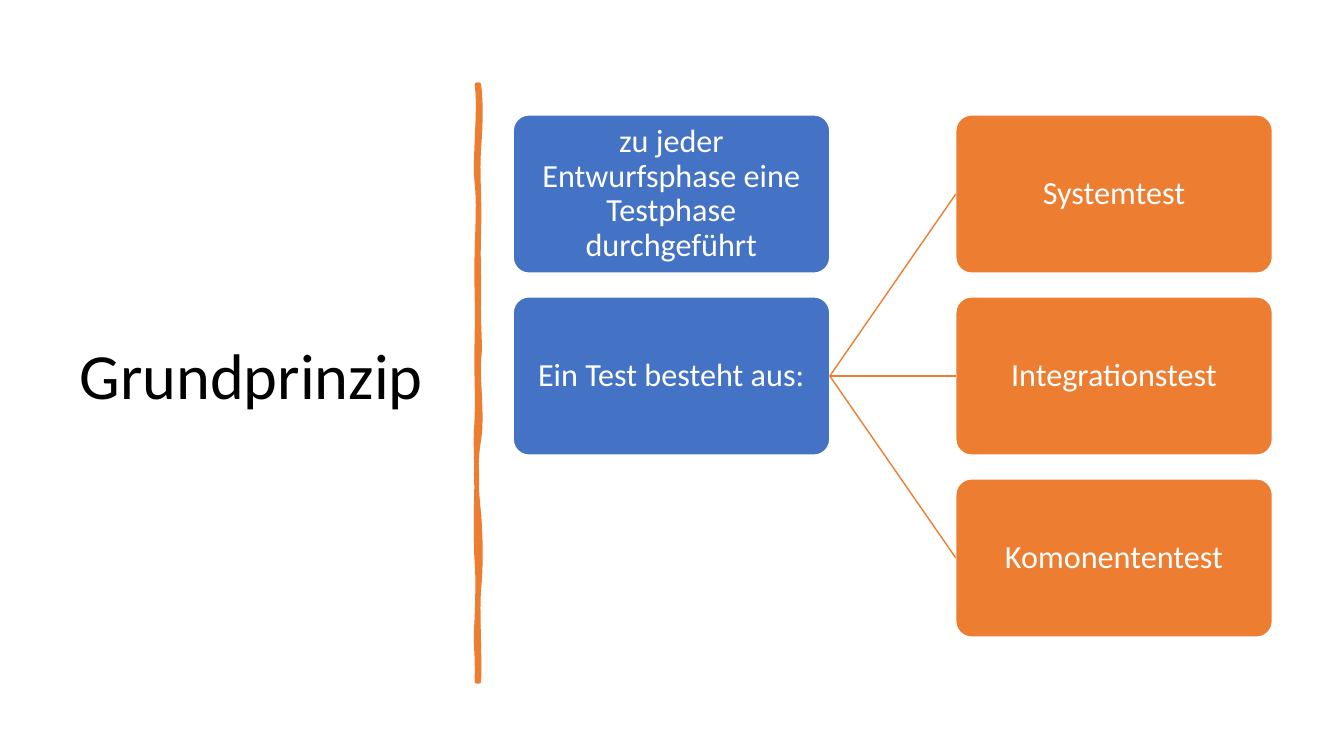
from lxml import etree
from pptx import Presentation
from pptx import util as u
from pptx.dml.color import RGBColor
from pptx.enum import shapes, text
from pptx.oxml import ns

BLUE = RGBColor(0x44, 0x72, 0xC4)
ORANGE = RGBColor(0xED, 0x7D, 0x31)
WHITE = RGBColor(0xFF, 0xFF, 0xFF)
BLACK = RGBColor(0x00, 0x00, 0x00)

# Box grid
BOX_WIDTH, BOX_HEIGHT = 3.14, 1.57
TOP, ROW_PITCH = 1.14, 1.15 * BOX_HEIGHT
PHASE_LEFT, TEST_LEFT = 5.09, 9.48

# Divider edges: a start point, then three Bézier points per curve
RIGHT_EDGE = [
    (4.75, 0.84), (4.77, 1.02), (4.77, 1.19), (4.75, 1.46),
    (4.73, 1.73), (4.76, 1.95), (4.75, 2.26),
    (4.74, 2.57), (4.75, 2.62), (4.75, 2.94),
    (4.74, 3.25), (4.77, 3.42), (4.75, 3.56),
    (4.73, 3.70), (4.79, 4.14), (4.75, 4.36),
    (4.71, 4.57), (4.72, 4.84), (4.75, 5.10),
    (4.77, 5.36), (4.77, 5.64), (4.75, 5.84),
    (4.73, 6.03), (4.76, 6.50), (4.75, 6.76),
]
LEFT_EDGE = [
    (4.73, 6.76), (4.74, 6.46), (4.71, 6.44), (4.73, 6.13),
    (4.74, 5.83), (4.74, 5.70), (4.73, 5.57),
    (4.72, 5.44), (4.72, 4.95), (4.73, 4.77),
    (4.73, 4.59), (4.71, 4.45), (4.73, 4.15),
    (4.74, 3.86), (4.72, 3.73), (4.73, 3.35),
    (4.74, 2.98), (4.72, 2.81), (4.73, 2.50),
    (4.74, 2.18), (4.75, 2.00), (4.73, 1.81),
    (4.70, 1.63), (4.77, 1.04), (4.73, 0.84),
]


def trace(edge, steps=8):
    """Return points along a chain of cubic Bézier curves."""
    points = [edge[0]]
    for i in range(0, len(edge) - 1, 3):
        for step in range(1, steps + 1):
            t = step / steps
            weights = ((1 - t) ** 3, 3 * t * (1 - t) ** 2,
                       3 * t ** 2 * (1 - t), t ** 3)
            points.append(tuple(
                sum(w * p[axis] for w, p in zip(weights, edge[i:i + 4]))
                for axis in (0, 1)))
    return points


class SlideBuilder:
    font_name = "Calibri"
    line_spacing = 0.9

    def __init__(self, slide):
        self.slide = slide

    def label(self, shape, words, size, color, alignment, inset):
        frame = shape.text_frame
        margins = dict.fromkeys(
            ("margin_left", "margin_right", "margin_top", "margin_bottom"),
            u.Inches(inset))
        paragraph = frame.paragraphs[0]
        run = paragraph.add_run()
        formats = (
            (frame, {"word_wrap": True,
                     "vertical_anchor": text.MSO_ANCHOR.MIDDLE, **margins}),
            (paragraph, {"alignment": alignment,
                         "line_spacing": self.line_spacing}),
            (run, {"text": words}),
            (run.font, {"name": self.font_name, "size": u.Pt(size)}),
        )
        for target, values in formats:
            for name, value in values.items():
                setattr(target, name, value)
        run.font.color.rgb = color

    def paint(self, shape, fill, line, width):
        shape.shadow.inherit = False
        shape.fill.solid()
        shape.fill.fore_color.rgb = fill
        shape.line.color.rgb = line
        shape.line.width = u.Pt(width)

    def title(self, words, left, top, width, height):
        shape = self.slide.shapes.add_textbox(
            *map(u.Inches, (left, top, width, height)))
        self.label(shape, words, 46, BLACK, text.PP_ALIGN.LEFT, 0.1)

    def box(self, words, left, row, fill):
        shape = self.slide.shapes.add_shape(
            shapes.MSO_SHAPE.ROUNDED_RECTANGLE,
            *map(u.Inches, (left, TOP + row * ROW_PITCH, BOX_WIDTH, BOX_HEIGHT)))
        shape.adjustments[0] = 0.1
        self.paint(shape, fill, WHITE, 1)
        self.label(shape, words, 23, WHITE, text.PP_ALIGN.CENTER, 0.02)
        return shape

    def divider(self, outline):
        points = [(u.Inches(x), u.Inches(y)) for x, y in outline]
        builder = self.slide.shapes.build_freeform(*points[0], scale=1.0)
        builder.add_line_segments(points[1:], close=True)
        self.paint(builder.convert_to_shape(), ORANGE, ORANGE, 3.25)

    def link(self, source, target):
        connector = self.slide.shapes.add_connector(
            shapes.MSO_CONNECTOR.STRAIGHT, 0, 0, 0, 0)
        connector.begin_connect(source, 3)
        connector.end_connect(target, 1)
        connector.line.color.rgb = ORANGE
        connector.line.width = u.Pt(1)
        etree.SubElement(connector.element.spPr, ns.qn("a:effectLst"))


def main():
    presentation = Presentation()
    presentation.slide_width = u.Inches(13.33)
    presentation.slide_height = u.Inches(7.5)
    slide = presentation.slides.add_slide(presentation.slide_layouts[6])
    builder = SlideBuilder(slide)

    # Title and hand-drawn divider
    builder.title("Grundprinzip", 0.69, 0.7, 3.74, 6.11)
    builder.divider(trace(RIGHT_EDGE) + trace(LEFT_EDGE))

    # Principles
    builder.box("zu jeder Entwurfsphase eine Testphase durchgeführt",
                PHASE_LEFT, 0, BLUE)
    parent = builder.box("Ein Test besteht aus:", PHASE_LEFT, 1, BLUE)

    # Kinds of test, each linked to its parent
    for row, name in enumerate(("Systemtest", "Integrationstest", "Komonententest")):
        builder.link(parent, builder.box(name, TEST_LEFT, row, ORANGE))

    presentation.save("out.pptx")


if __name__ == "__main__":
    main()
